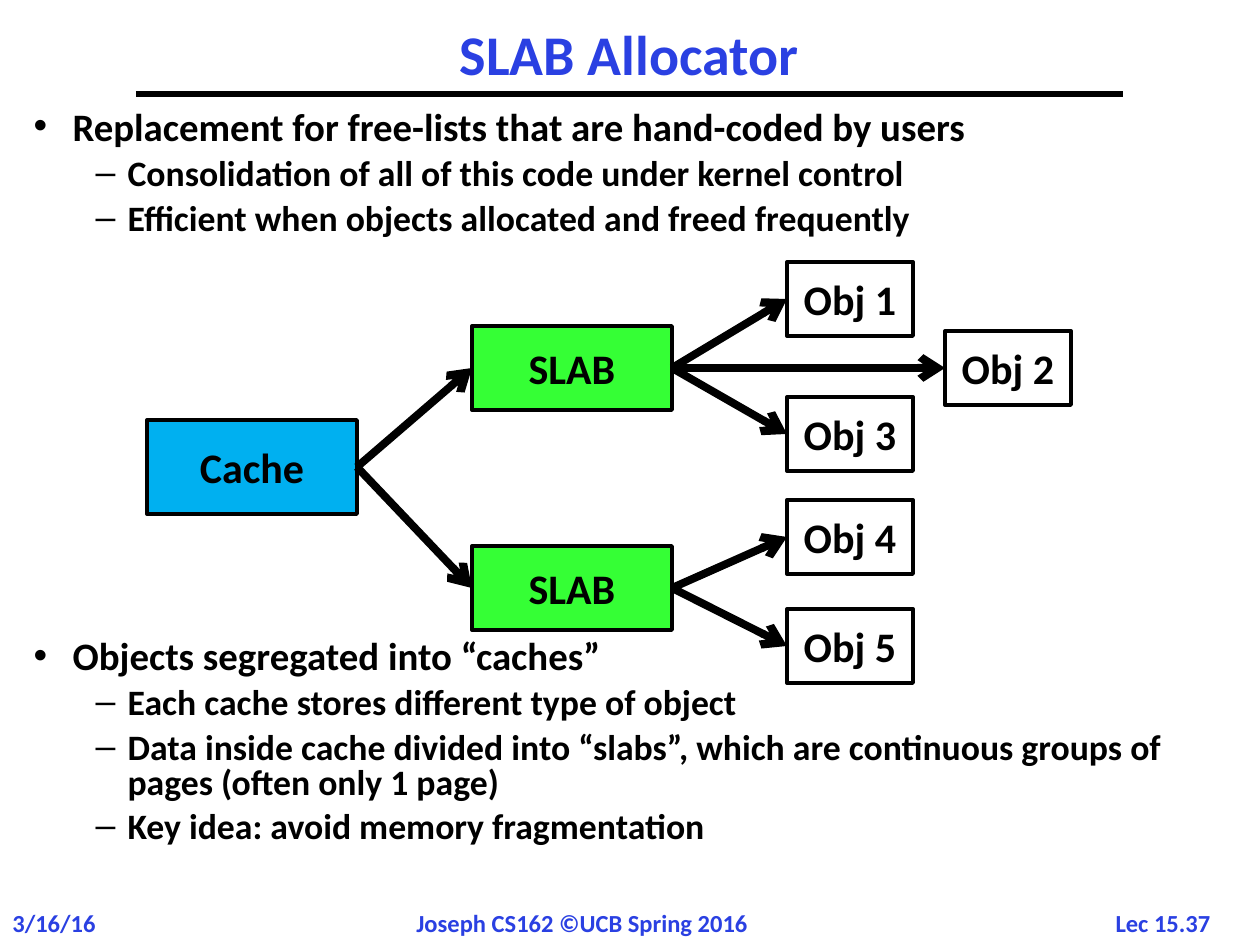
"""Builds the SLAB Allocator lecture slide."""
import pptx
import pptx.dml.color
import pptx.enum.shapes
import pptx.enum.text
import pptx.oxml
import pptx.oxml.ns
import pptx.util

PX = 914400 / 126
BLACK, BLUE = "000000", "2A40E2"
ALIGN = pptx.enum.text.PP_ALIGN
ANCHOR = pptx.enum.text.MSO_ANCHOR


def color(value):
    return pptx.dml.color.RGBColor.from_string(value)


def style(paragraph, size, value, align):
    paragraph.alignment = align
    for run in paragraph.runs:
        run.font.name = "Calibri"
        run.font.size = pptx.util.Pt(size)
        run.font.bold = True
        run.font.color.rgb = color(value)


deck = pptx.Presentation()
deck.slide_width, deck.slide_height = pptx.util.Inches(10), pptx.util.Inches(7.5)
slide = deck.slides.add_slide(deck.slide_layouts[1])

footers = [
    ("Lec 15.37", 1098, 130, ALIGN.CENTER),
    ("3/16/16", 0, 126, ALIGN.LEFT),
    ("Joseph CS162 ©UCB Spring 2016", 404, 362, ALIGN.LEFT),
]
for words, left, width, align in footers:
    footer = slide.shapes.add_textbox(*(round(v * PX) for v in (left, 902, width, 42)))
    footer.text_frame.word_wrap = False
    footer.text_frame.text = words
    style(footer.text_frame.paragraphs[0], 14, BLUE, align)

heading = slide.shapes.title
heading.left, heading.top, heading.width, heading.height = (
    round(v * PX) for v in (136, 21, 987, 73))
heading.text_frame.text = "SLAB Allocator"
heading.text_frame.vertical_anchor = ANCHOR.MIDDLE
heading.text_frame.paragraphs[0].line_spacing = 0.9
style(heading.text_frame.paragraphs[0], 32, BLUE, ALIGN.CENTER)

points = [
    (0, 6, "Replacement for free-lists that are hand-coded by users"),
    (1, 6, "Consolidation of all of this code under kernel control"),
    (1, 6, "Efficient when objects allocated and freed frequently"),
    (0, 230, "Objects segregated into “caches”"),
    (1, 6, "Each cache stores different type of object"),
    (1, 6, "Data inside cache divided into “slabs”, which are continuous groups of "
           "pages (often only 1 page)"),
    (1, 6, "Key idea: avoid memory fragmentation"),
]
body = slide.placeholders[1]
body.left, body.top, body.width, body.height = (
    round(v * PX) for v in (21, 105, 1176, 840))
body.text_frame.auto_size = pptx.enum.text.MSO_AUTO_SIZE.NONE
body.text_frame.text = "\n".join(words for _, _, words in points)
for paragraph, (level, gap, _) in zip(body.text_frame.paragraphs, points):
    paragraph.level = level
    paragraph.line_spacing = 0.8
    paragraph.space_before = pptx.util.Pt(gap)
    margin, indent = [(39, -39), (94, -32)][level]
    properties = paragraph._p.get_or_add_pPr()
    properties.set("marL", str(round(margin * PX)))
    properties.set("indent", str(round(indent * PX)))
    style(paragraph, [22.2, 20.4][level], BLACK, ALIGN.LEFT)

nodes = [
    ("cache", "Cache", 147, 420, 210, 94, "00B0F0"),
    ("slab 1", "SLAB", 472, 326, 200, 84, "35FF35"),
    ("slab 2", "SLAB", 472, 546, 200, 84, "35FF35"),
    ("obj 1", "Obj 1", 787, 262, 126, 74, "FFFFFF"),
    ("obj 2", "Obj 2", 945, 331, 126, 74, "FFFFFF"),
    ("obj 3", "Obj 3", 787, 397, 126, 74, "FFFFFF"),
    ("obj 4", "Obj 4", 787, 500, 126, 74, "FFFFFF"),
    ("obj 5", "Obj 5", 787, 609, 126, 74, "FFFFFF"),
]
placed = {}
for key, words, left, top, width, height, fill in nodes:
    node = slide.shapes.add_shape(
        pptx.enum.shapes.MSO_SHAPE.RECTANGLE,
        *(round(v * PX) for v in (left, top, width, height)))
    node.shadow.inherit = False
    node.fill.solid()
    node.fill.fore_color.rgb = color(fill)
    node.line.color.rgb = color(BLACK)
    node.line.width = pptx.util.Pt(2.25)
    node.text_frame.text = words
    node.text_frame.vertical_anchor = ANCHOR.MIDDLE
    style(node.text_frame.paragraphs[0], 24, BLACK, ALIGN.CENTER)
    placed[key] = node

links = [
    ("cache", "slab 1"), ("cache", "slab 2"),
    ("slab 1", "obj 1"), ("slab 1", "obj 2"), ("slab 1", "obj 3"),
    ("slab 2", "obj 4"), ("slab 2", "obj 5"),
]
for source, target in [(None, None)] + links:
    link = slide.shapes.add_connector(
        pptx.enum.shapes.MSO_CONNECTOR.STRAIGHT,
        *(round(v * PX) for v in (136, 94, 1123, 94)))
    link.line.color.rgb = color(BLACK)
    link.line.width = pptx.util.Pt(4.5 if source else 3)
    if source:
        link.begin_connect(placed[source], 3)
        link.end_connect(placed[target], 1)
        arrowhead = pptx.oxml.parse_xml(
            f'<a:tailEnd {pptx.oxml.ns.nsdecls("a")} type="arrow"/>')
        link.line._get_or_add_ln().append(arrowhead)
    link._element.spPr.append(
        pptx.oxml.parse_xml(f'<a:effectLst {pptx.oxml.ns.nsdecls("a")}/>'))

deck.save("out.pptx")
